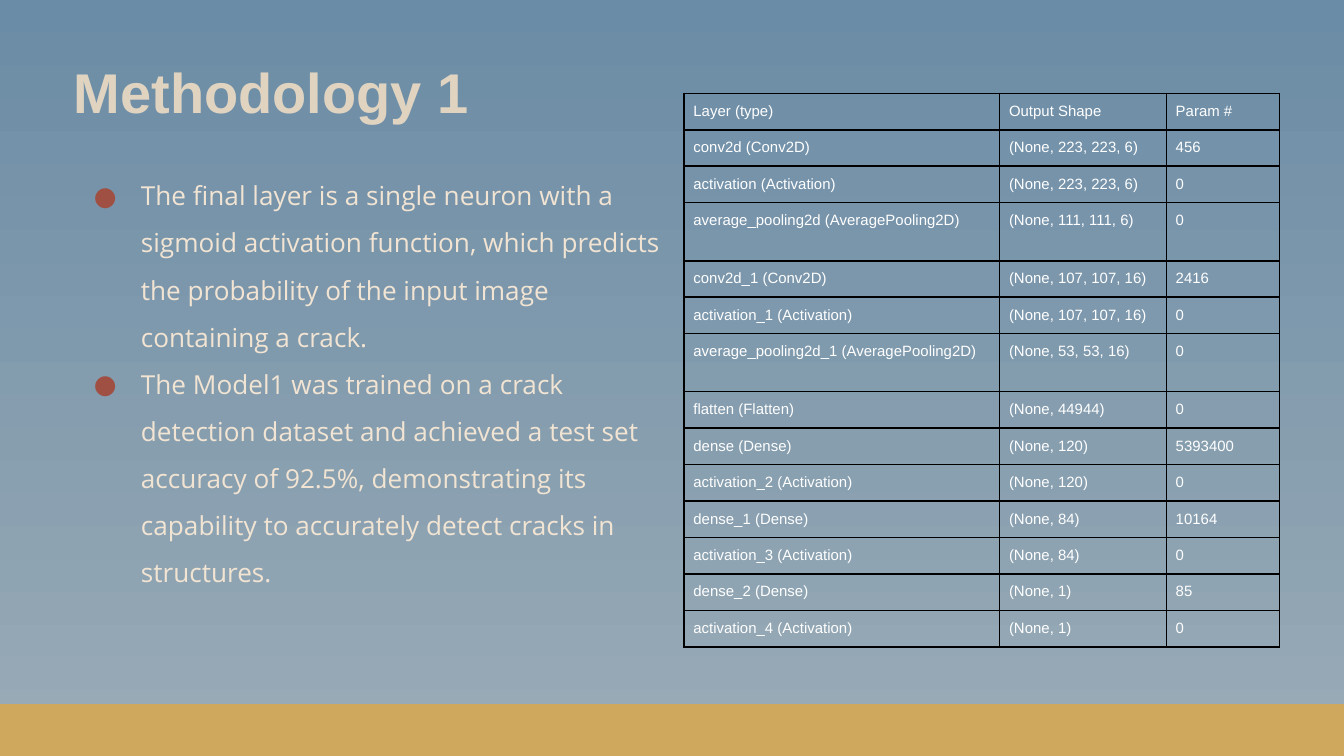
from lxml import etree
from pptx import Presentation
from pptx.dml.color import RGBColor
from pptx.enum import shapes, text
from pptx.oxml import ns
from pptx.util import Pt

SKY = RGBColor(0x6B, 0x8C, 0xA6)
MIST = RGBColor(0x9A, 0xAB, 0xB6)
GOLD = RGBColor(0xCF, 0xA7, 0x5D)
SAND = RGBColor(0xE0, 0xD4, 0xC1)
CREAM = RGBColor(0xF2, 0xE4, 0xD3)
RUST = RGBColor(0xA0, 0x50, 0x43)
WHITE = RGBColor(0xFF, 0xFF, 0xFF)
BLACK = RGBColor(0x00, 0x00, 0x00)

FINDINGS = [
    "The final layer is a single neuron with a sigmoid activation function, which predicts "
    "the probability of the input image containing a crack.",
    "The Model1 was trained on a crack detection dataset and achieved a test set accuracy of "
    "92.5%, demonstrating its capability to accurately detect cracks in structures.",
]
LAYERS = [
    ("Layer (type)", "Output Shape", "Param #"),
    ("conv2d (Conv2D)", "(None, 223, 223, 6)", "456"),
    ("activation (Activation)", "(None, 223, 223, 6)", "0"),
    ("average_pooling2d (AveragePooling2D)", "(None, 111, 111, 6)", "0"),
    ("conv2d_1 (Conv2D)", "(None, 107, 107, 16)", "2416"),
    ("activation_1 (Activation)", "(None, 107, 107, 16)", "0"),
    ("average_pooling2d_1 (AveragePooling2D)", "(None, 53, 53, 16)", "0"),
    ("flatten (Flatten)", "(None, 44944)", "0"),
    ("dense (Dense)", "(None, 120)", "5393400"),
    ("activation_2 (Activation)", "(None, 120)", "0"),
    ("dense_1 (Dense)", "(None, 84)", "10164"),
    ("activation_3 (Activation)", "(None, 84)", "0"),
    ("dense_2 (Dense)", "(None, 1)", "85"),
    ("activation_4 (Activation)", "(None, 1)", "0"),
]
COLUMN_SHARES = (0.53, 0.28, 0.19)
ROW_HEIGHT, TALL_ROW_HEIGHT = 19.55, 31.1


def write_text(paragraph, words, *, size, color, font="Arial", bold=False, spacing=None):
    """Write words into a paragraph with the given format."""
    paragraph.alignment = text.PP_ALIGN.LEFT
    paragraph.line_spacing = spacing
    run = paragraph.add_run()
    run.text = words
    run.font.size = Pt(size)
    run.font.name = font
    run.font.bold = bold
    run.font.color.rgb = color


def set_insets(holder, inset):
    """Give a text frame or table cell equal margins on all sides."""
    holder.margin_left = holder.margin_right = Pt(inset)
    holder.margin_top = holder.margin_bottom = Pt(inset)


def add_bullet(paragraph, color, indent, hanging):
    """Put a coloured round bullet before a paragraph."""
    properties = paragraph._p.get_or_add_pPr()
    properties.set("marL", str(Pt(indent)))
    properties.set("indent", str(-Pt(hanging)))
    bullet_color = etree.SubElement(properties, ns.qn("a:buClr"))
    etree.SubElement(bullet_color, ns.qn("a:srgbClr"), val=str(color))
    etree.SubElement(properties, ns.qn("a:buFont"), typeface="Open Sans")
    etree.SubElement(properties, ns.qn("a:buChar"), char="●")


def set_borders(cell, color, width):
    """Draw a solid line on all four sides of a table cell."""
    properties = cell._tc.get_or_add_tcPr()
    for position, side in enumerate(("lnL", "lnR", "lnT", "lnB")):
        line = etree.Element(ns.qn(f"a:{side}"), w=str(Pt(width)))
        fill = etree.SubElement(line, ns.qn("a:solidFill"))
        etree.SubElement(fill, ns.qn("a:srgbClr"), val=str(color))
        properties.insert(position, line)


def paint_background(slide):
    """Fill the slide with a gradient that runs from top to bottom."""
    fill = slide.background.fill
    fill.gradient()
    fill.gradient_angle = 270
    for stop, color, position in zip(fill.gradient_stops, (SKY, MIST), (0, 1)):
        stop.color.rgb = color
        stop.position = position


def add_footer_band(slide, left, top, width, height):
    """Add the gold band along the bottom edge."""
    band = slide.shapes.add_shape(
        shapes.MSO_SHAPE.RECTANGLE, Pt(left), Pt(top), Pt(width), Pt(height))
    band.shadow.inherit = False
    band.fill.solid()
    band.fill.fore_color.rgb = GOLD
    band.line.color.rgb = GOLD
    band.line.width = Pt(0.75)


def place_title(slide, words, left, top, width, height):
    """Place and format the title placeholder."""
    title = slide.shapes.title
    title.left, title.top, title.width, title.height = map(Pt, (left, top, width, height))
    frame = title.text_frame
    frame.auto_size = text.MSO_AUTO_SIZE.NONE
    frame.vertical_anchor = text.MSO_ANCHOR.BOTTOM
    set_insets(frame, 7.2)
    write_text(frame.paragraphs[0], words, size=30, color=SAND, bold=True)


def add_findings(slide, findings, left, top, width, height):
    """Add the bulleted findings."""
    box = slide.shapes.add_textbox(Pt(left), Pt(top), Pt(width), Pt(height))
    frame = box.text_frame
    frame.word_wrap = True
    frame.auto_size = text.MSO_AUTO_SIZE.TEXT_TO_FIT_SHAPE
    set_insets(frame, 7.2)
    for index, finding in enumerate(findings):
        paragraph = frame.add_paragraph() if index else frame.paragraphs[0]
        write_text(paragraph, finding, size=14, color=CREAM, font="Open Sans", spacing=1.5)
        add_bullet(paragraph, RUST, 36, 25.2)


def add_layer_table(slide, layers, left, top, width):
    """Add the table of network layers, with taller rows for pooling layers."""
    heights = [TALL_ROW_HEIGHT if "pooling" in layer[0] else ROW_HEIGHT for layer in layers]
    table = slide.shapes.add_table(
        len(layers), len(COLUMN_SHARES), Pt(left), Pt(top), Pt(width), Pt(sum(heights))).table
    table.first_row = table.horz_banding = False
    for column, share in zip(table.columns, COLUMN_SHARES):
        column.width = Pt(width * share)
    for row, height, layer in zip(table.rows, heights, layers):
        row.height = Pt(height)
        for cell, words in zip(row.cells, layer):
            cell.fill.background()
            set_insets(cell, 5)
            set_borders(cell, BLACK, 1)
            write_text(cell.text_frame.paragraphs[0], words, size=8, color=WHITE)


def build_methodology_slide(presentation):
    """Build the slide that pairs findings with the layer table."""
    slide = presentation.slides.add_slide(presentation.slide_layouts[5])
    paint_background(slide)
    add_footer_band(slide, -0.5, 377.3, 720, 27.5)
    place_title(slide, "Methodology 1", 32.4, 31, 302, 43)
    add_findings(slide, FINDINGS, 32.4, 80.6, 334, 267)
    add_layer_table(slide, LAYERS, 366.5, 50, 319)


def main():
    """Create the presentation and save it."""
    presentation = Presentation()
    presentation.slide_width, presentation.slide_height = Pt(720), Pt(405)
    build_methodology_slide(presentation)
    presentation.save("out.pptx")


if __name__ == "__main__":
    main()
